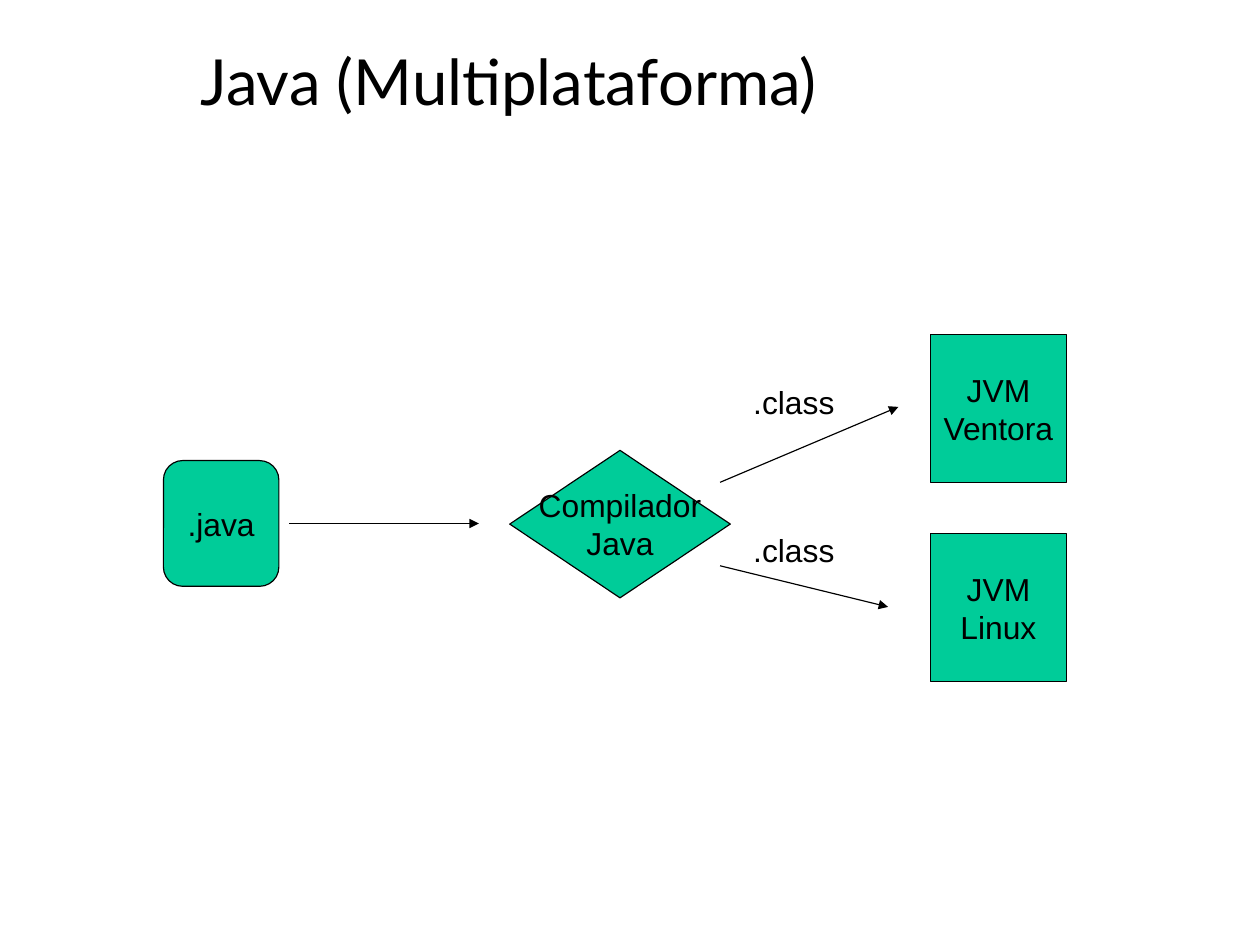
from lxml import etree
from pptx import Presentation
from pptx.dml.color import RGBColor
from pptx.enum.shapes import MSO_CONNECTOR as Connector, MSO_SHAPE as Shape
from pptx.enum.text import MSO_ANCHOR as Anchor, PP_ALIGN as Align
from pptx.oxml.ns import qn
from pptx.util import Inches, Pt

BLACK = "000000"
GREEN = "00CC99"
LINE_WIDTH = 0.75
CM_PER_INCH = 2.54


def color(hex_value):
    return RGBColor.from_string(hex_value)


def set_text(shape, text, size=20, font="Arial", align=Align.CENTER,
             anchor=Anchor.MIDDLE, wrap=False, margins=(0.11, 0.06),
             line_spacing=None):
    frame = shape.text_frame
    frame.word_wrap = wrap
    frame.vertical_anchor = anchor
    frame.margin_left = frame.margin_right = Inches(margins[0])
    frame.margin_top = frame.margin_bottom = Inches(margins[1])
    frame.text = text
    for paragraph in frame.paragraphs:
        paragraph.alignment = align
        paragraph.line_spacing = line_spacing
        paragraph.font.size = Pt(size)
        paragraph.font.name = font
        paragraph.font.color.rgb = color(BLACK)


def add_label(slide, text, left, top, width, height, **text_format):
    box = slide.shapes.add_textbox(
        Inches(left), Inches(top), Inches(width), Inches(height))
    set_text(box, text, **text_format)


def add_node(slide, kind, text, left, top, width, height):
    node = slide.shapes.add_shape(
        kind, Inches(left), Inches(top), Inches(width), Inches(height))
    node.shadow.inherit = False
    node.fill.solid()
    node.fill.fore_color.rgb = color(GREEN)
    node.line.color.rgb = color(BLACK)
    node.line.width = Pt(LINE_WIDTH)
    set_text(node, text)


def add_arrow(slide, start, end):
    arrow = slide.shapes.add_connector(
        Connector.STRAIGHT, *(Inches(value) for value in (*start, *end)))
    arrow.line.color.rgb = color(BLACK)
    arrow.line.width = Pt(LINE_WIDTH)
    # Arrowhead at the end, and no theme shadow
    properties = arrow.element.spPr
    etree.SubElement(properties.find(qn("a:ln")), qn("a:tailEnd"), type="triangle")
    etree.SubElement(properties, qn("a:effectLst"))


def main():
    # Page of 28 by 21 cm
    presentation = Presentation()
    presentation.slide_width = Inches(28 / CM_PER_INCH)
    presentation.slide_height = Inches(21 / CM_PER_INCH)
    slide = presentation.slides.add_slide(presentation.slide_layouts[6])

    # Title
    add_label(slide, "Java (Multiplataforma)", 0.55, 0.04, 7.8, 1.38, size=40,
              font="Lato", wrap=True, margins=(0, 0), line_spacing=0.97)

    # Source file and compiler
    add_node(slide, Shape.ROUNDED_RECTANGLE, ".java", 1.43, 4.03, 1.01, 1.1)
    add_node(slide, Shape.FLOWCHART_DECISION, "Compilador\nJava",
             4.46, 3.94, 1.93, 1.29)
    add_arrow(slide, (2.53, 4.58), (4.19, 4.58))

    # Virtual machines, each with its arrow and bytecode label
    targets = [
        ("Ventora", 2.93, (6.3, 4.22), (7.86, 3.56), 3.29),
        ("Linux", 4.67, (6.3, 4.95), (7.77, 5.31), 4.58),
    ]
    for system, top, start, end, label_top in targets:
        add_node(slide, Shape.FLOWCHART_PROCESS, f"JVM\n{system}",
                 8.14, top, 1.19, 1.29)
        add_arrow(slide, start, end)
        add_label(slide, ".class", 6.48, label_top, 1.01, 0.44,
                  align=Align.LEFT, anchor=Anchor.TOP, wrap=True)

    presentation.save("out.pptx")


if __name__ == "__main__":
    main()
